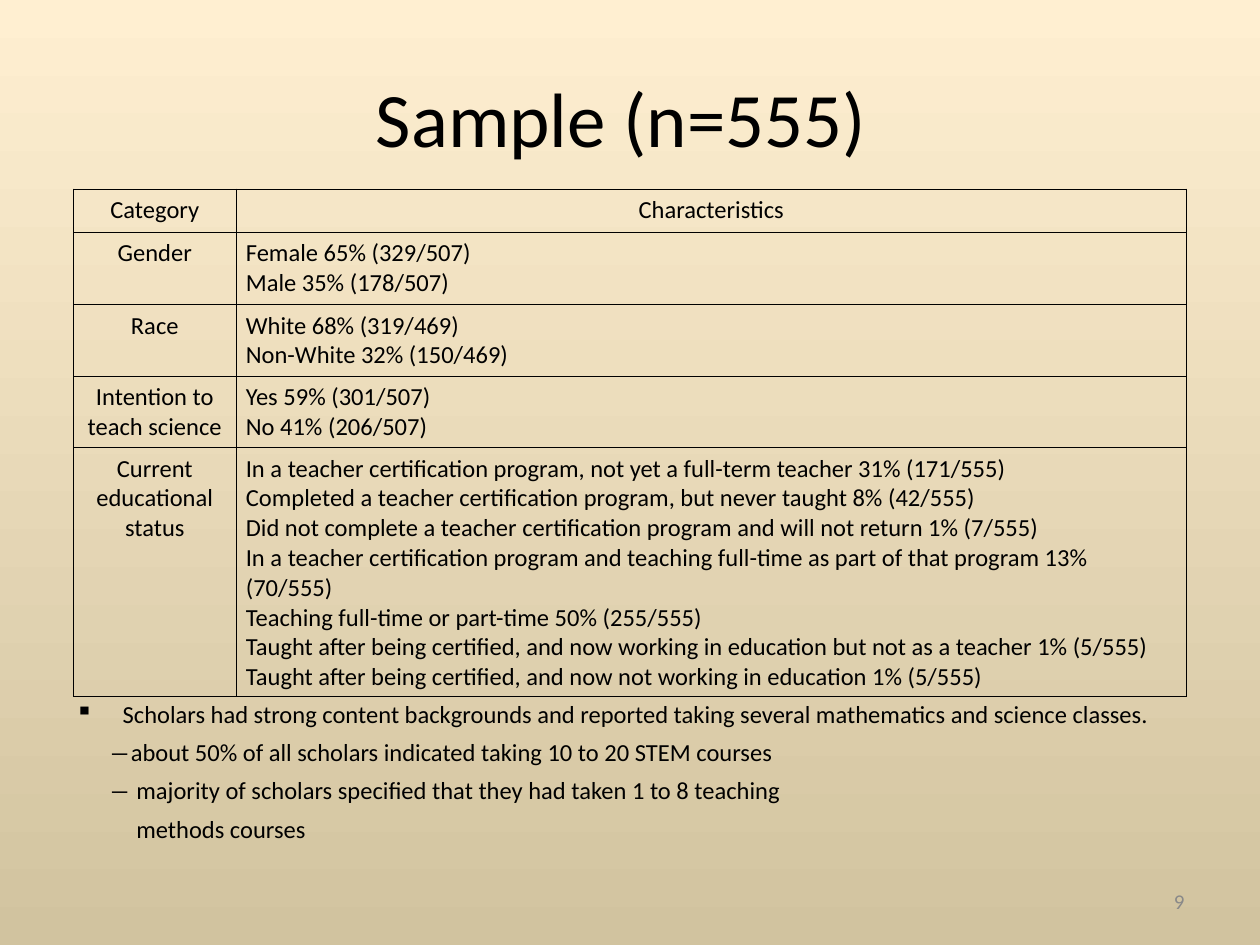
from lxml.etree import SubElement
from pptx import Presentation
from pptx.dml.color import RGBColor
from pptx.enum.text import MSO_ANCHOR, PP_ALIGN
from pptx.oxml.ns import qn
from pptx.util import Pt


def color(value):
    return RGBColor.from_string(value)


def write(text_frame, lines, size=14, align=PP_ALIGN.LEFT, ink="000000"):
    text_frame.word_wrap = True
    for index, line in enumerate(lines):
        paragraph = text_frame.paragraphs[0] if index == 0 else text_frame.add_paragraph()
        paragraph.alignment = align
        run = paragraph.add_run()
        run.text = line
        run.font.name = "Calibri"
        run.font.size = Pt(size)
        run.font.color.rgb = color(ink)


presentation = Presentation()
presentation.slide_width = Pt(720)
presentation.slide_height = Pt(540)
slide = presentation.slides.add_slide(presentation.slide_layouts[6])

background = slide.background.fill
background.gradient()
background.gradient_angle = 270
for stop, position, value in zip(background.gradient_stops, (0, 1), ("FFEFD1", "D1C39F")):
    stop.position = position
    stop.color.rgb = color(value)

title = slide.shapes.add_textbox(Pt(36), Pt(21.6), Pt(648), Pt(90)).text_frame
title.vertical_anchor = MSO_ANCHOR.MIDDLE
write(title, ["Sample (n=555) "], 44, PP_ALIGN.CENTER)

notes = slide.shapes.add_textbox(Pt(36), Pt(396), Pt(648), Pt(86.4)).text_frame
write(notes, [
    "Scholars had strong content backgrounds and reported taking several mathematics and science classes.",
    "―about 50% of all scholars indicated taking 10 to 20 STEM courses",
    "― majority of scholars specified that they had taken 1 to 8 teaching",
    "methods courses",
])
indents = [(27, -27), (19, 0), (19, 0), (34.8, 0)]
for index, (paragraph, (margin, indent)) in enumerate(zip(notes.paragraphs, indents)):
    properties = paragraph._p.get_or_add_pPr()
    properties.set("marL", str(Pt(margin)))
    properties.set("indent", str(Pt(indent)))
    if index == 0:
        SubElement(properties, qn("a:buChar")).set("char", "▪")
    else:
        paragraph.space_before = Pt(5)

page_number = slide.shapes.add_textbox(Pt(516), Pt(500.4), Pt(168), Pt(28.8)).text_frame
page_number.vertical_anchor = MSO_ANCHOR.MIDDLE
write(page_number, ["9"], 12, PP_ALIGN.RIGHT, "898989")

rows = [
    (24.5, "Category", ["Characteristics"]),
    (41.5, "Gender", ["Female 65% (329/507)", "Male 35% (178/507)"]),
    (40.5, "Race", ["White 68% (319/469)", "Non-White 32% (150/469)"]),
    (39.5, "Intention to teach science", ["Yes 59% (301/507)", "No 41% (206/507)"]),
    (142, "Current educational status", [
        "In a teacher certification program, not yet a full-term teacher 31% (171/555)",
        "Completed a teacher certification program, but never taught 8% (42/555)",
        "Did not complete a teacher certification program and will not return 1% (7/555)",
        "In a teacher certification program and teaching full-time as part of that program 13% (70/555)",
        "Teaching full-time or part-time 50% (255/555)",
        "Taught after being certified, and now working in education but not as a teacher 1% (5/555)",
        "Taught after being certified, and now not working in education 1% (5/555)",
    ]),
]
table = slide.shapes.add_table(len(rows), 2, Pt(42), Pt(108), Pt(636), Pt(288)).table
table.first_row = False
table.horz_banding = False
table.columns[0].width = Pt(92.9)
table.columns[1].width = Pt(543.1)
for row_index, (height, category, characteristics) in enumerate(rows):
    table.rows[row_index].height = Pt(height)
    for column_index, lines in enumerate(([category], characteristics)):
        cell = table.cell(row_index, column_index)
        cell.margin_left = cell.margin_right = Pt(5.6)
        cell.margin_top = cell.margin_bottom = Pt(3.6)
        centered = row_index == 0 or column_index == 0
        write(cell.text_frame, lines, align=PP_ALIGN.CENTER if centered else PP_ALIGN.LEFT)
        cell_properties = cell._tc.get_or_add_tcPr()
        for side in ("lnL", "lnR", "lnT", "lnB"):
            border = SubElement(cell_properties, qn(f"a:{side}"), w=str(Pt(0.45)))
            SubElement(SubElement(border, qn("a:solidFill")), qn("a:srgbClr"), val="000000")
        cell.fill.background()

presentation.save("out.pptx")
